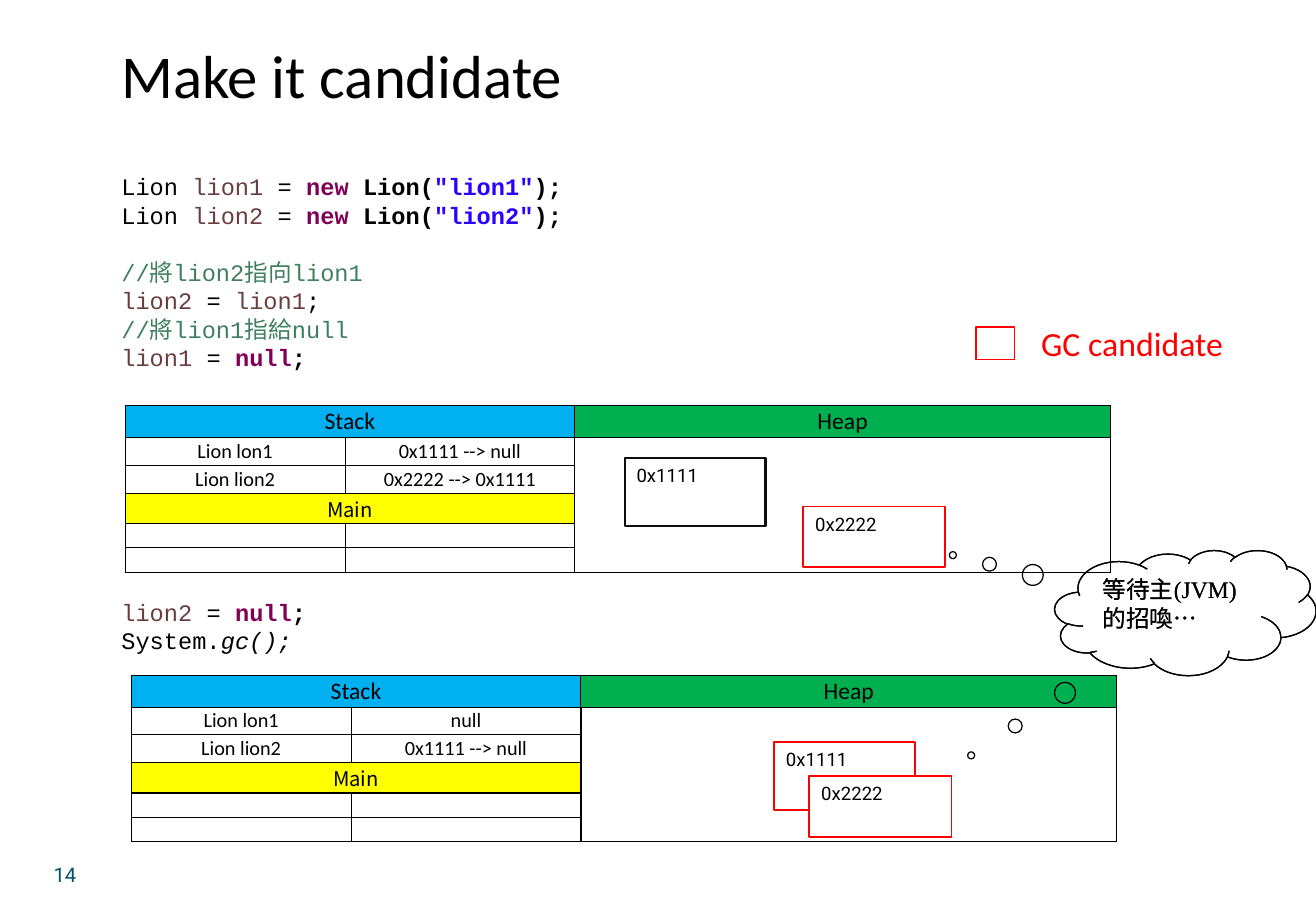
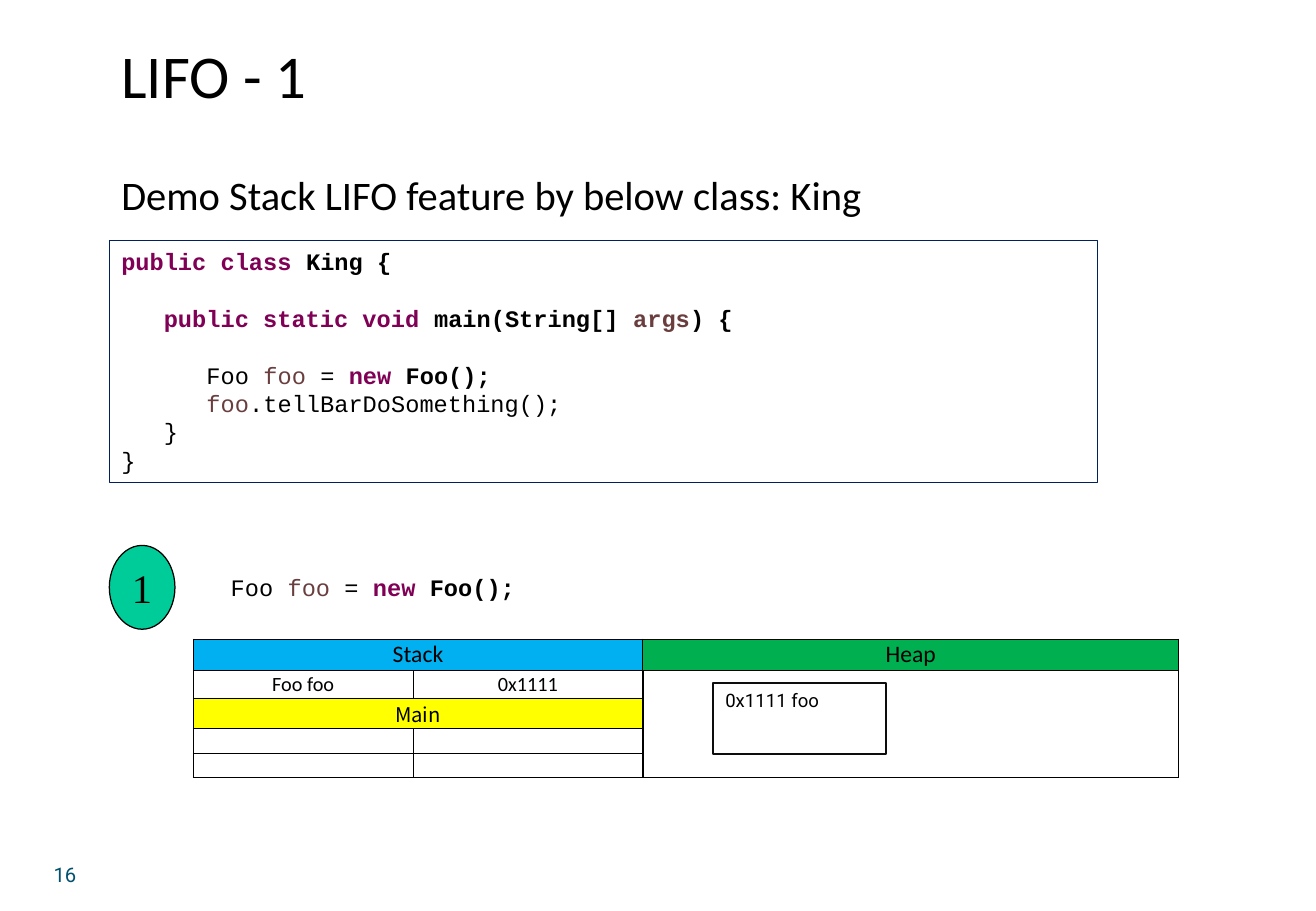
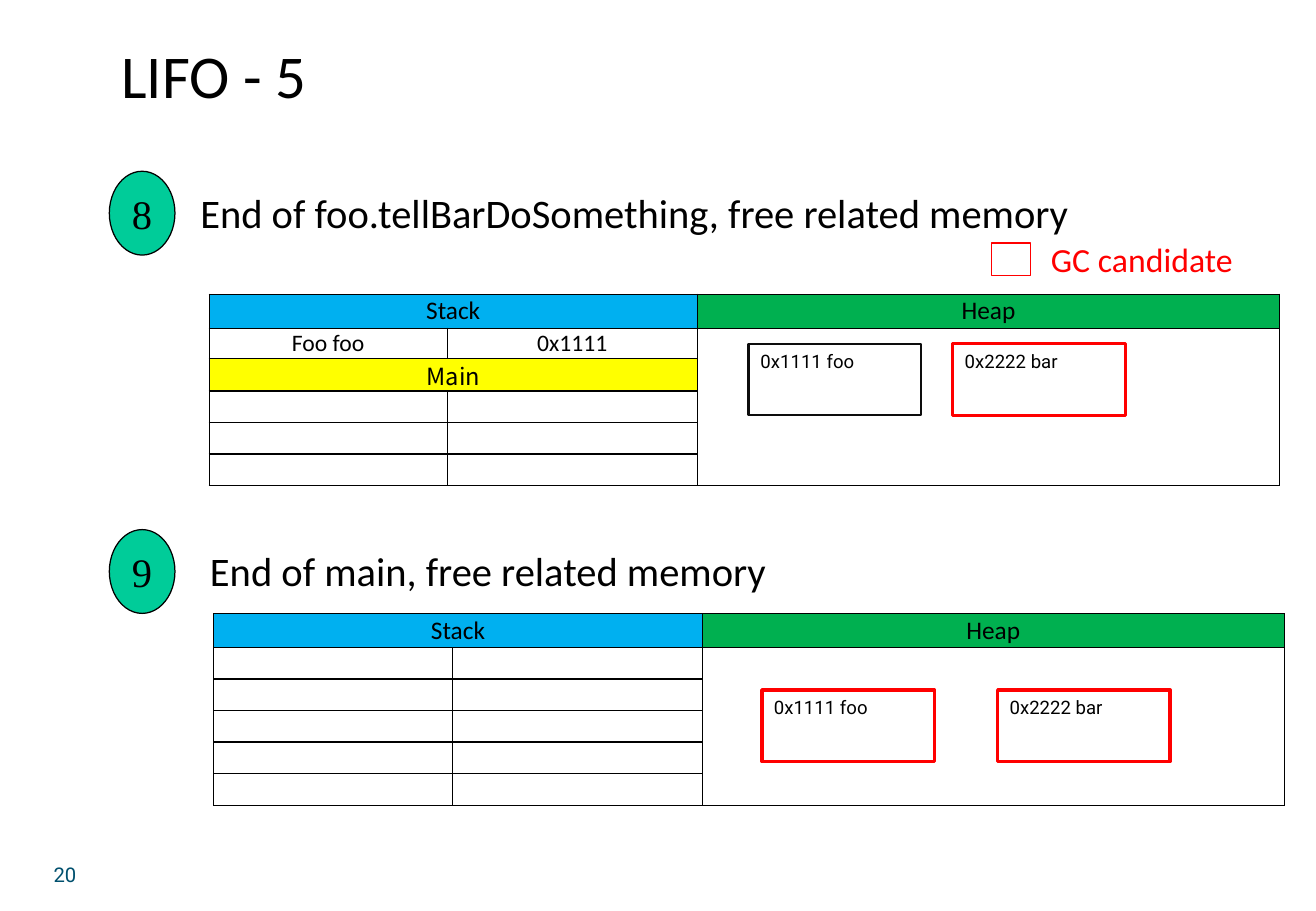
from collections import namedtuple
from lxml.etree import SubElement
from pptx import Presentation
from pptx.dml.color import RGBColor
from pptx.enum.shapes import MSO_SHAPE
from pptx.enum.text import MSO_ANCHOR, PP_ALIGN
from pptx.oxml.ns import qn
from pptx.util import Pt

PX = 9144  # EMU per px: 100 px to the inch
COLORS = {
    "black": "000000", "frame": "0D0D0D", "white": "FFFFFF", "red": "FF0000",
    "stack": "00B0F0", "heap": "00B050", "frame_name": "FFFF00",
    "step": "00CC99", "code_box": "002060", "page": "00506E",
    "variable": "6A3E3E", "keyword": "7F0055", "string": "2A00FF",
    "comment": "3F7F5F",
}
# Code token kind -> colour, bold, italic
TOKENS = {
    "plain": ("black", False, False), "strong": ("black", True, False),
    "call": ("black", False, True), "var": ("variable", False, False),
    "arg": ("variable", True, False), "key": ("keyword", True, False),
    "str": ("string", True, False), "note": ("comment", False, False),
}
PLAIN_TABLE = "{2D5ABB26-0587-4C30-8999-92F81FD0307C}"
CODE_LINE = Pt(17)

MemoryStyle = namedtuple(
    "MemoryStyle", "gutter name value heap header variable main blank head_pt body_pt blank_line")
COMPACT = MemoryStyle(35, 181, 189, 441, 26, 23, 25, 20, 14, 12, 0.5)
WIDE = MemoryStyle(0, 196, 206, 479, 28, 25, 27, 26, 15, 14, 1)
MAIN = ("Main", None)
BLANK = ("", "")


def rgb(name):
    return RGBColor.from_string(COLORS[name])


def set_borders(cell, left, right, top, bottom):
    properties = cell._tc.get_or_add_tcPr()
    for side, points in zip("LRTB", (left, right, top, bottom)):
        edge = SubElement(properties, qn(f"a:ln{side}"), w=str(Pt(points)))
        fill = SubElement(edge, qn("a:solidFill"))
        SubElement(fill, qn("a:srgbClr"), val=COLORS["black"])


class Deck:
    def __init__(self, width, height):
        self.prs = Presentation()
        self.prs.slide_width, self.prs.slide_height = width * PX, height * PX
        self.slide = None

    def new_slide(self, title, page):
        self.slide = self.prs.slides.add_slide(self.prs.slide_layouts[6])
        self.text(23, 705, 61, 23, str(page), 12, "Roboto", "page", PP_ALIGN.CENTER)
        self.text(90, 26, 893, 71, title, 36)

    def set_text(self, frame, words, size, font="Calibri", color="black",
                 align=PP_ALIGN.LEFT, anchor=MSO_ANCHOR.TOP):
        frame.word_wrap = True
        frame.vertical_anchor = anchor
        paragraph = frame.paragraphs[0]
        paragraph.text = words
        paragraph.alignment = align
        for run in paragraph.runs:
            run.font.size, run.font.name = Pt(size), font
            run.font.color.rgb = rgb(color)
        return paragraph

    def text(self, x, y, w, h, words, size, font="Calibri", color="black",
             align=PP_ALIGN.LEFT):
        box = self.slide.shapes.add_textbox(x * PX, y * PX, w * PX, h * PX)
        return self.set_text(box.text_frame, words, size, font, color, align)

    def shape(self, preset, x, y, w, h, line, weight, fill=None):
        shape = self.slide.shapes.add_shape(preset, x * PX, y * PX, w * PX, h * PX)
        shape.shadow.inherit = False
        shape.line.color.rgb, shape.line.width = rgb(line), Pt(weight)
        if fill:
            shape.fill.solid()
            shape.fill.fore_color.rgb = rgb(fill)
        else:
            shape.fill.background()
        return shape

    def code(self, x, y, w, h, lines, boxed=False):
        """Lines are lists of (text, token kind); None is an empty line."""
        if boxed:
            box = self.shape(MSO_SHAPE.RECTANGLE, x, y, w, h, "code_box", 0.75)
        else:
            box = self.slide.shapes.add_textbox(x * PX, y * PX, w * PX, h * PX)
        frame = box.text_frame
        frame.word_wrap = True
        frame.vertical_anchor = MSO_ANCHOR.TOP
        previous = []
        for index, line in enumerate(lines):
            if line is not None:
                paragraph = frame.add_paragraph() if index else frame.paragraphs[0]
                paragraph.alignment = PP_ALIGN.LEFT
                if previous is None:
                    paragraph.space_before = CODE_LINE
                for words, kind in line:
                    run = paragraph.add_run()
                    run.text = words
                    color, run.font.bold, run.font.italic = TOKENS[kind]
                    run.font.size, run.font.name = Pt(14), "Courier New"
                    run.font.color.rgb = rgb(color)
            previous = line

    def heap_object(self, x, y, w, h, words, line="frame", weight=1.25):
        box = self.shape(MSO_SHAPE.RECTANGLE, x, y, w, h, line, weight, "white")
        self.set_text(box.text_frame, words, 11, "Roboto")

    def step(self, y, number):
        badge = self.shape(MSO_SHAPE.OVAL, 90, y, 54, 69, "black", 0.75, "step")
        self.set_text(badge.text_frame, str(number), 24, "Times New Roman",
                      align=PP_ALIGN.CENTER, anchor=MSO_ANCHOR.MIDDLE)

    def legend(self, x, y, label_x):
        self.shape(MSO_SHAPE.RECTANGLE, x, y, 32, 27, "red", 1)
        self.text(label_x, y - 8, 215, 44, "GC candidate", 20, color="red")

    def thought(self, x, y, w, h, words, tail):
        cloud = self.shape(MSO_SHAPE.CLOUD_CALLOUT, x, y, w, h, "black", 0.75)
        cloud.adjustments[0], cloud.adjustments[1] = tail
        self.set_text(cloud.text_frame, words, 14, "Times New Roman")

    def memory(self, x, y, style, entries):
        """Stack and heap table; entries are the stack rows from the top."""
        widths = [style.name, style.value, style.heap]
        first = 0
        if style.gutter:
            widths = [style.gutter, *widths, style.gutter]
            first = 1
        heights = [style.header]
        lines = [0.5, 0.5]  # above the header, then below each row
        for entry in entries:
            if entry == MAIN:
                height, below = style.main, 1
            elif entry == BLANK:
                height, below = style.blank, style.blank_line
            else:
                height, below = style.variable, 0.5
            heights.append(height)
            lines.append(below)
        lines[-1] = 0.5

        table = self.slide.shapes.add_table(
            len(heights), len(widths), x * PX, y * PX,
            sum(widths) * PX, sum(heights) * PX).table
        table.first_row = table.horz_banding = False
        table._tbl.tblPr.find(qn("a:tableStyleId")).text = PLAIN_TABLE
        for column, width in zip(table.columns, widths):
            column.width = width * PX
        for row, height in zip(table.rows, heights):
            row.height = height * PX

        name, value, heap = range(first, first + 3)
        last = len(entries)
        table.cell(1, heap).merge(table.cell(last, heap))
        for index, (label, content) in enumerate([("Stack", None), *entries]):
            if content is None:
                table.cell(index, name).merge(table.cell(index, value))
            words = {name: label, value: content or "", heap: "" if index else "Heap"}
            fills = {}
            if index == 0:
                fills = {name: "stack", value: "stack", heap: "heap"}
            elif content is None:
                fills = {name: "frame_name", value: "frame_name"}
            for column in range(len(widths)):
                cell = table.cell(index, column)
                cell.margin_left = cell.margin_right = 0
                cell.margin_top = cell.margin_bottom = 0
                if column in words:
                    divider = 1 if index else 0.5
                    top, bottom = lines[index:index + 2]
                    if column == heap:
                        top = bottom = 0.5
                    set_borders(cell, divider if column == heap else 0.5,
                                divider if column == value else 0.5, top, bottom)
                if column in fills:
                    cell.fill.solid()
                    cell.fill.fore_color.rgb = rgb(fills[column])
                else:
                    cell.fill.background()
                if words.get(column):
                    self.set_text(cell.text_frame, words[column],
                                  style.body_pt if index else style.head_pt,
                                  "Noto Sans CJK TC" if words[column] == "Main" else "Calibri",
                                  align=PP_ALIGN.CENTER)
                    cell.vertical_anchor = MSO_ANCHOR.MIDDLE
                else:
                    empty = cell.text_frame.paragraphs[0]._p
                    SubElement(empty, qn("a:endParaRPr"), sz="1000")


def new_lion(name):
    return [("Lion ", "plain"), (name, "var"), (" = ", "plain"), ("new", "key"),
            (" Lion(", "strong"), (f'"{name}"', "str"), (");", "strong")]


def set_null(name):
    return [(name, "var"), (" = ", "plain"), ("null", "key"), (";", "strong")]


NEW_FOO = [("Foo ", "plain"), ("foo", "var"), (" = ", "plain"),
           ("new", "key"), (" Foo();", "strong")]


def candidate_slide(deck):
    deck.new_slide("Make it candidate", 14)
    deck.code(90, 137, 542, 176, [
        new_lion("lion1"),
        new_lion("lion2"),
        None,
        [("//將lion2指向lion1", "note")],
        [("lion2", "var"), (" = ", "plain"), ("lion1", "var"), (";", "plain")],
        [("//將lion1指給null", "note")],
        set_null("lion1"),
    ])
    deck.code(90, 487, 542, 57, [
        set_null("lion2"),
        [("System.", "plain"), ("gc();", "call")],
    ])
    deck.memory(68, 334, COMPACT, [
        ("Lion lon1", "0x1111 --> null"), ("Lion lion2", "0x2222 --> 0x1111"),
        MAIN, BLANK, BLANK])
    deck.heap_object(514, 377, 116, 56, "0x1111")
    deck.heap_object(661, 417, 117, 50, "0x2222", "red", 1)
    deck.memory(73, 556, COMPACT, [
        ("Lion lon1", "null"), ("Lion lion2", "0x1111 --> null"),
        MAIN, BLANK, BLANK])
    deck.heap_object(637, 611, 116, 56, "0x1111", "red", 1)
    deck.heap_object(666, 639, 117, 50, "0x2222", "red", 1)
    deck.legend(803, 269, 847)
    for tail in ((-0.82, 1.14), (-0.89, -0.46)):
        deck.thought(868, 453, 215, 103, "等待主(JVM)的招喚…", tail)


def first_step_slide(deck):
    deck.new_slide("LIFO - 1", 16)
    intro = deck.text(90, 115, 948, 124, "Demo Stack LIFO feature by below class: King", 24)
    intro.line_spacing = 1.5
    deck.code(90, 198, 813, 199, [
        [("public class", "key"), (" King {", "strong")],
        None,
        [("   public static void", "key"), (" main(String[] ", "strong"),
         ("args", "arg"), (") {", "strong")],
        None,
        [("      ", "plain"), *NEW_FOO],
        [("      foo", "var"), (".tellBarDoSomething();", "plain")],
        [("   }", "plain")],
        [("}", "plain")],
    ], boxed=True)
    deck.step(449, 1)
    deck.code(180, 467, 292, 34, [NEW_FOO])
    deck.memory(124, 526, COMPACT, [("Foo foo", "0x1111"), MAIN, BLANK, BLANK])
    deck.heap_object(587, 562, 142, 59, "0x1111 foo")


def last_steps_slide(deck):
    deck.new_slide("LIFO - 5", 20)
    deck.text(155, 150, 800, 50, "End of foo.tellBarDoSomething, free related memory", 24)
    deck.step(141, 8)
    deck.memory(172, 242, WIDE, [("Foo foo", "0x1111"), MAIN, BLANK, BLANK, BLANK])
    deck.heap_object(616, 283, 142, 59, "0x1111 foo")
    deck.heap_object(784, 283, 142, 59, "0x2222 bar", "red", 2)
    deck.legend(816, 200, 855)
    deck.step(436, 9)
    deck.text(163, 445, 800, 50, "End of main, free related memory", 24)
    deck.memory(176, 505, WIDE, [BLANK] * 5)
    deck.heap_object(627, 568, 142, 59, "0x1111 foo", "red", 2)
    deck.heap_object(821, 568, 142, 59, "0x2222 bar", "red", 2)


def main():
    deck = Deck(1083, 750)
    candidate_slide(deck)
    first_step_slide(deck)
    last_steps_slide(deck)
    deck.prs.save("out.pptx")


if __name__ == "__main__":
    main()
